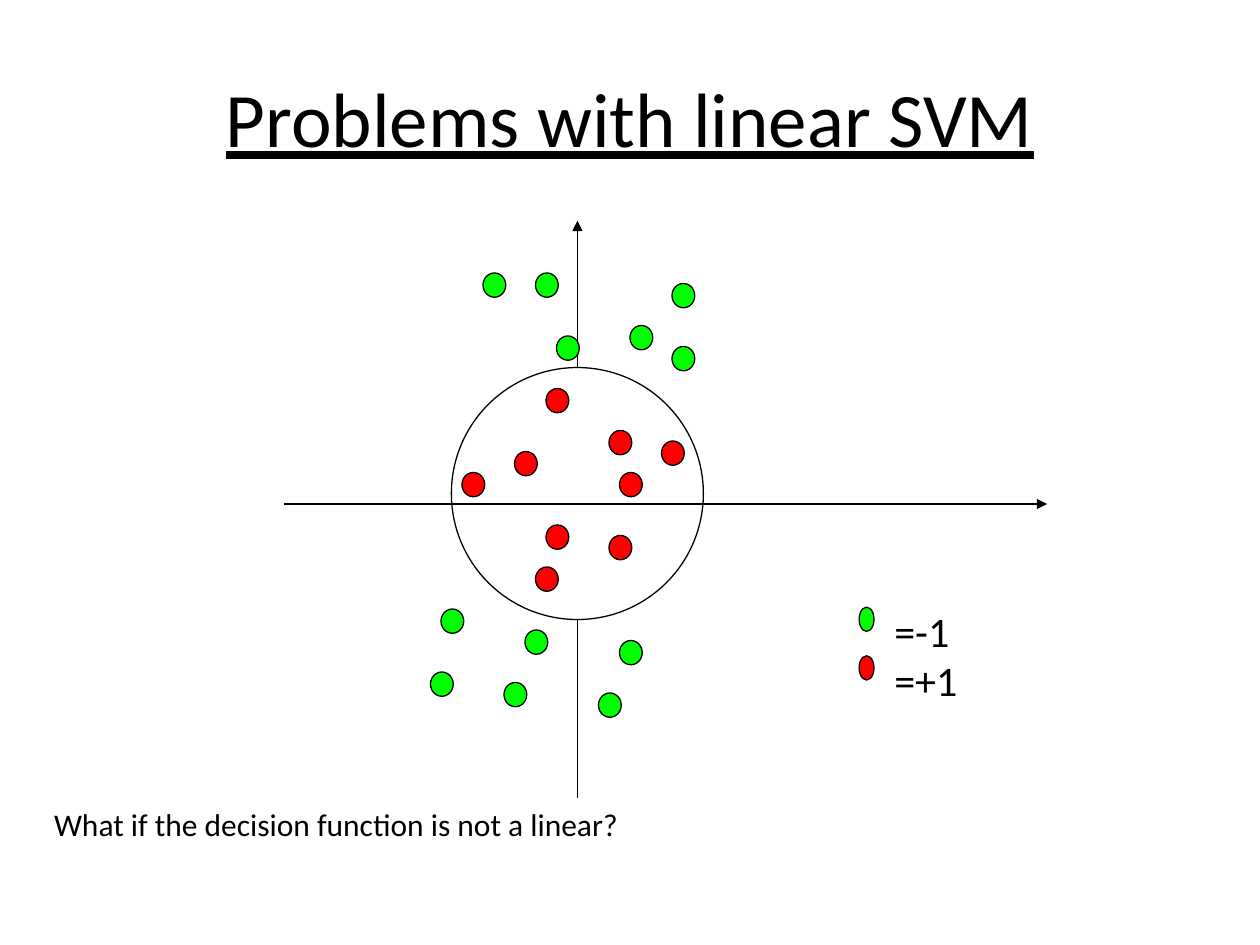
"""Build a slide on the limits of a linear SVM."""
from pptx import Presentation
from pptx.dml.color import RGBColor
from pptx.enum.shapes import MSO_CONNECTOR as Connector, MSO_SHAPE as Shape
from pptx.enum.text import MSO_ANCHOR as Anchor, PP_ALIGN as Align
from pptx.oxml.ns import qn
from pptx.util import Cm, Pt
from lxml.etree import SubElement

BLACK = RGBColor(0, 0, 0)
WHITE = RGBColor(255, 255, 255)
GREEN = RGBColor(0, 255, 0)
RED = RGBColor(255, 0, 0)

GRID = 2.54 / 12
DOT_WIDTH, DOT_HEIGHT = 0.46, 0.49
NEGATIVE_CELLS = [(53, 32), (60, 31), (59, 61), (41, 64), (48, 65), (57, 66),
                  (46, 26), (42, 58), (50, 60), (51, 26), (64, 27), (64, 33)]
POSITIVE_CELLS = [(58, 51), (63, 42), (51, 54), (59, 45), (52, 37), (52, 50),
                  (58, 41), (49, 43), (44, 45)]
LEGEND = [(GREEN, "=-1"), (RED, "=+1")]
LEGEND_TOP, LEGEND_STEP = 12.24, 0.98


class SlidePainter:
    font_name = "Calibri"
    line_width = Pt(0.75)

    def __init__(self, page):
        self.page = page

    def text(self, left, top, width, height, words, size,
             align=Align.LEFT, anchor=Anchor.TOP, underline=None):
        box = self.page.shapes.add_textbox(Cm(left), Cm(top), Cm(width), Cm(height))
        frame = box.text_frame
        frame.text = words
        frame.word_wrap = True
        frame.vertical_anchor = anchor
        para = frame.paragraphs[0]
        para.alignment = align
        font = para.runs[0].font
        font.name = self.font_name
        font.size = Pt(size)
        font.color.rgb = BLACK
        font.underline = underline

    def ellipse(self, left, top, width, height, color):
        oval = self.page.shapes.add_shape(
            Shape.OVAL, Cm(left), Cm(top), Cm(width), Cm(height))
        oval.shadow.inherit = False
        oval.fill.solid()
        oval.fill.fore_color.rgb = color
        oval.line.color.rgb = BLACK
        oval.line.width = self.line_width

    def dots(self, cells, color):
        for column, row in cells:
            self.ellipse(column * GRID, row * GRID, DOT_WIDTH, DOT_HEIGHT, color)

    def arrow(self, start_x, start_y, end_x, end_y):
        axis = self.page.shapes.add_connector(
            Connector.STRAIGHT, Cm(start_x), Cm(start_y), Cm(end_x), Cm(end_y))
        axis.line.color.rgb = BLACK
        axis.line.width = self.line_width
        SubElement(axis.line._get_or_add_ln(), qn("a:tailEnd"), type="triangle")
        SubElement(axis._element.spPr, qn("a:effectLst"))


def main():
    deck = Presentation()
    deck.slide_width, deck.slide_height = Cm(25.4), Cm(19.05)
    painter = SlidePainter(deck.slides.add_slide(deck.slide_layouts[6]))

    painter.text(1.27, 0.76, 22.86, 3.18, "Problems with linear SVM", 44,
                 Align.CENTER, Anchor.MIDDLE, underline=True)
    painter.arrow(11.64, 16.08, 11.64, 4.45)
    painter.ellipse(9.1, 7.41, 5.08, 5.08, WHITE)
    painter.dots(NEGATIVE_CELLS, GREEN)
    painter.dots(POSITIVE_CELLS, RED)
    painter.arrow(5.72, 10.16, 21.11, 10.16)

    for index, (color, label) in enumerate(LEGEND):
        top = LEGEND_TOP + index * LEGEND_STEP
        painter.ellipse(17.32, top, 0.3, DOT_HEIGHT, color)
        painter.text(17.78, top - 0.16, 1.98, 1.17, label, 24)

    painter.text(0.84, 16.1, 12.75, 0.94,
                 "What if the decision function is not a linear?", 18)
    deck.save("out.pptx")


if __name__ == "__main__":
    main()
